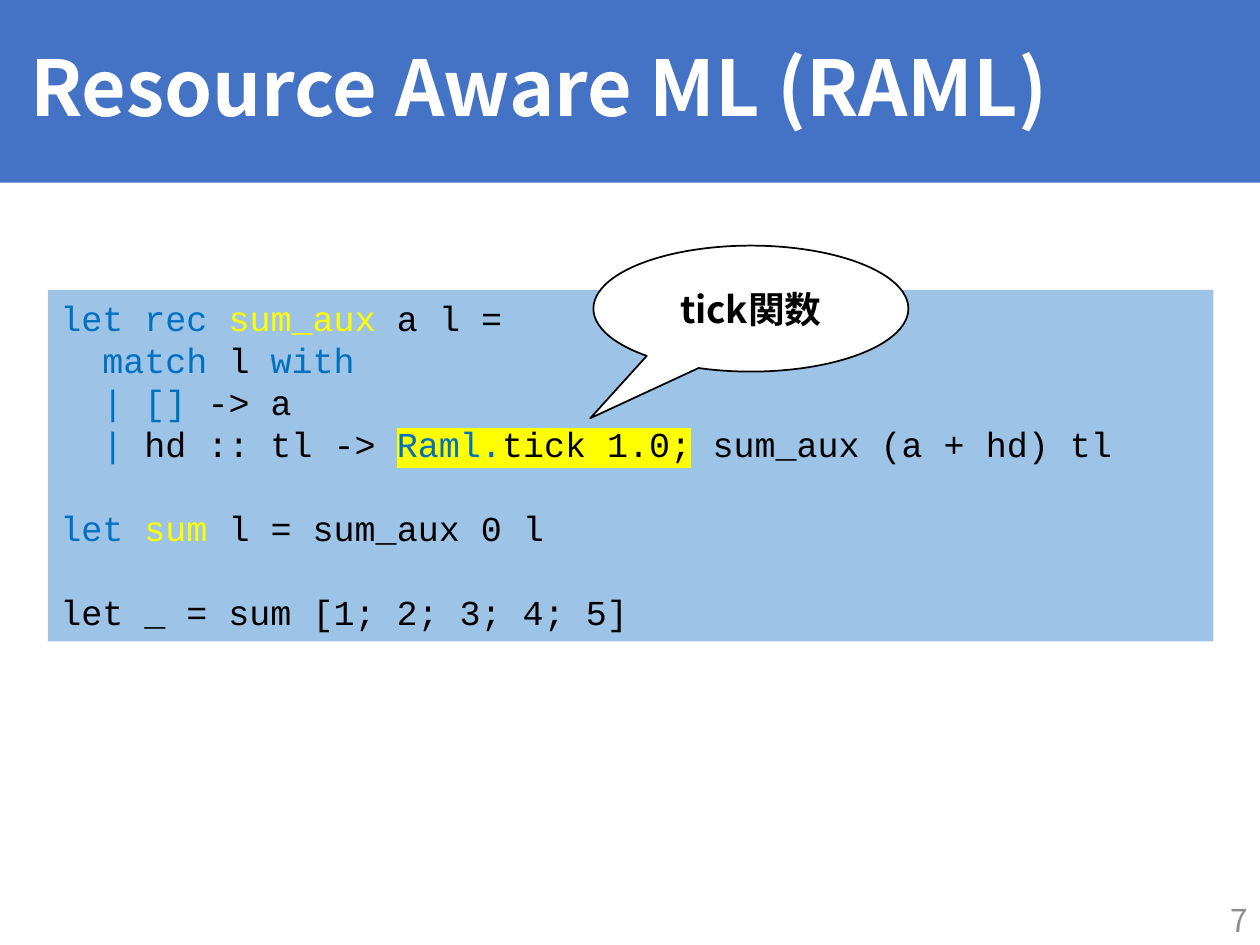
import pptx
import pptx.dml.color
import pptx.enum.shapes
import pptx.enum.text
import pptx.oxml.ns
import pptx.util
from lxml import etree
from pptx.util import Inches

SHAPE = pptx.enum.shapes.MSO_SHAPE
ALIGN = pptx.enum.text.PP_ALIGN
ANCHOR = pptx.enum.text.MSO_ANCHOR
qn = pptx.oxml.ns.qn

THEME = {
    "sans": "Noto Sans CJK JP", "mono": "Courier New",
    "title": 44, "callout": 21, "code": 20, "number": 18, "code_line": 24,
    "banner": "4472C4", "panel": "9DC3E6", "white": "FFFFFF", "plain": "000000",
    "keyword": "0070C0", "name": "FFFF00", "mark": "FFFF00", "gray": "8C8C8C",
}


def add_box(kind, left, top, width, height, fill=None, line=None, **frame_format):
    box = slide.shapes.add_shape(kind, Inches(left), Inches(top), Inches(width), Inches(height))
    box.shadow.inherit = False
    for part, color in ((box.fill, fill), (box.line.fill, line)):
        if color:
            part.solid()
            part.fore_color.rgb = pptx.dml.color.RGBColor.from_string(THEME[color])
        else:
            part.background()
    for key, value in {"word_wrap": True, "vertical_anchor": ANCHOR.MIDDLE, **frame_format}.items():
        setattr(box.text_frame, key, value)
    return box


def add_run(paragraph, text, size, color, face="sans", bold=False, marked=False):
    run = paragraph.add_run()
    run.text = text
    font_format = {"name": THEME[face], "size": pptx.util.Pt(THEME[size]), "bold": bold}
    for key, value in font_format.items():
        setattr(run.font, key, value)
    run.font.color.rgb = pptx.dml.color.RGBColor.from_string(THEME[color])
    latin = run.font._element.find(qn("a:latin"))
    east_asian = etree.Element(qn("a:ea"), typeface=THEME[face])
    latin.addnext(east_asian)
    if marked:
        highlight = etree.Element(qn("a:highlight"))
        etree.SubElement(highlight, qn("a:srgbClr"), val=THEME["mark"])
        latin.addprevious(highlight)


deck = pptx.Presentation()
deck.slide_width, deck.slide_height = Inches(10), Inches(7.5)
slide = deck.slides.add_slide(deck.slide_layouts[6])

# Title banner
banner = add_box(SHAPE.RECTANGLE, 0, 0, 10, 1.45, fill="banner", margin_left=Inches(0.24))
heading = banner.text_frame.paragraphs[0]
heading.alignment = ALIGN.LEFT
heading.line_spacing = 0.9
add_run(heading, "Resource Aware ML (RAML)", "title", "white", bold=True)

# Slide number
number = add_box(SHAPE.RECTANGLE, 7.75, 7.1, 2.25, 0.4).text_frame.paragraphs[0]
number.alignment = ALIGN.RIGHT
add_run(number, "7", "number", "gray")

# Code lines: (indent in characters, blank lines before, coloured pieces)
code_lines = [
    (0, 0, [("let rec ", "keyword"), ("sum_aux ", "name"), ("a l =", "plain")]),
    (2, 0, [("match", "keyword"), (" l ", "plain"), ("with", "keyword")]),
    (2, 0, [("| [] ", "keyword"), ("-> a", "plain")]),
    (2, 0, [("| ", "keyword"), ("hd :: tl -> ", "plain"), ("Raml.", "keyword", True),
            ("tick 1.0;", "plain", True), (" sum_aux (a + hd) tl", "plain")]),
    (0, 1, [("let ", "keyword"), ("sum", "name"), (" l = sum_aux 0 l", "plain")]),
    (0, 1, [("let _ = sum [1; 2; 3; 4; 5]", "plain")]),
]
char_width = pptx.util.Pt(THEME["code"] * 0.6)
code = add_box(SHAPE.RECTANGLE, 0.38, 2.3, 9.25, 2.79, fill="panel",
               vertical_anchor=ANCHOR.TOP).text_frame
for index, (indent, blanks, pieces) in enumerate(code_lines):
    code_line = code.add_paragraph() if index else code.paragraphs[0]
    line_format = {"alignment": ALIGN.LEFT,
                   "line_spacing": pptx.util.Pt(THEME["code_line"]),
                   "space_before": pptx.util.Pt(THEME["code_line"] * blanks)}
    for key, value in line_format.items():
        setattr(code_line, key, value)
    code_line._p.get_or_add_pPr().set("marL", str(int(indent * char_width)))
    for text, color, *marked in pieces:
        add_run(code_line, text, "code", color, face="mono", marked=bool(marked))

# Callout pointing at the tick call
callout = add_box(SHAPE.OVAL_CALLOUT, 4.71, 1.95, 2.5, 1, fill="white", line="plain")
callout.line.width = pptx.util.Pt(1)
callout.adjustments[0], callout.adjustments[1] = -0.51, 0.87
label = callout.text_frame.paragraphs[0]
label.alignment = ALIGN.CENTER
add_run(label, "tick関数", "callout", "plain", bold=True)

deck.save("out.pptx")
